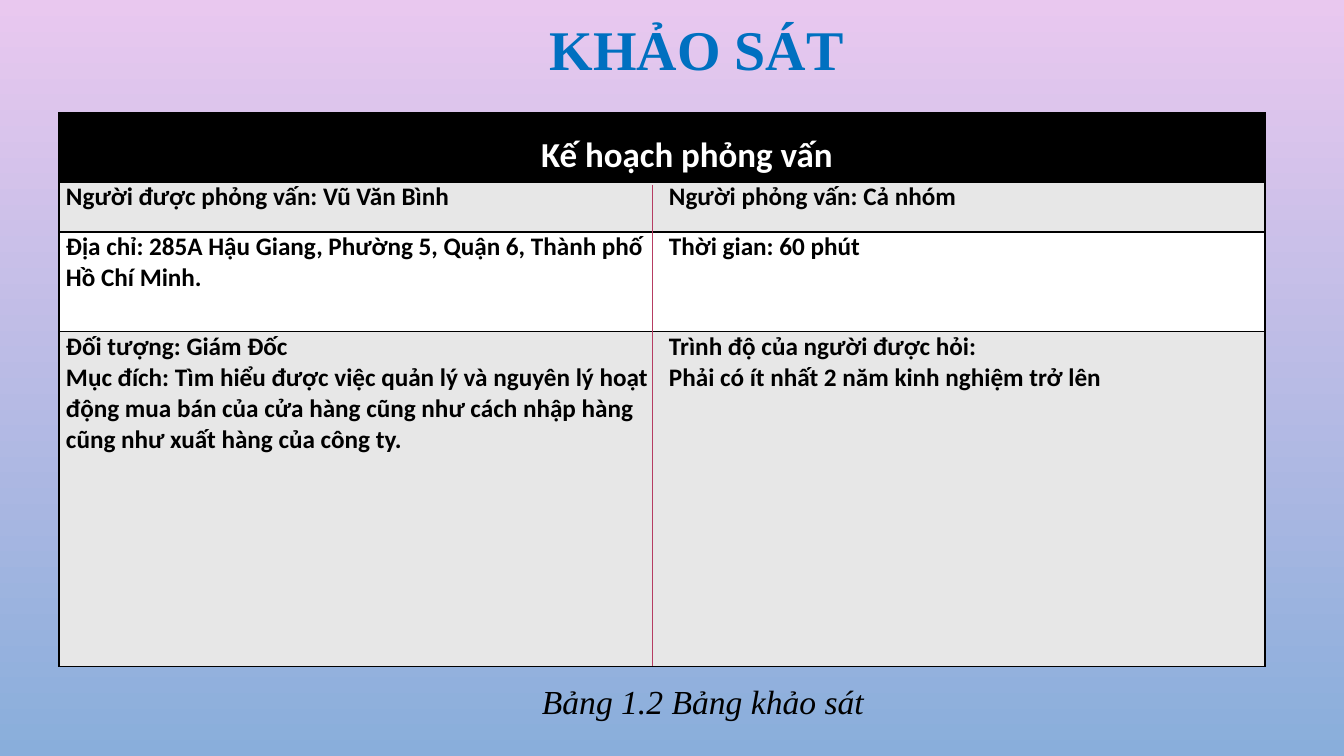
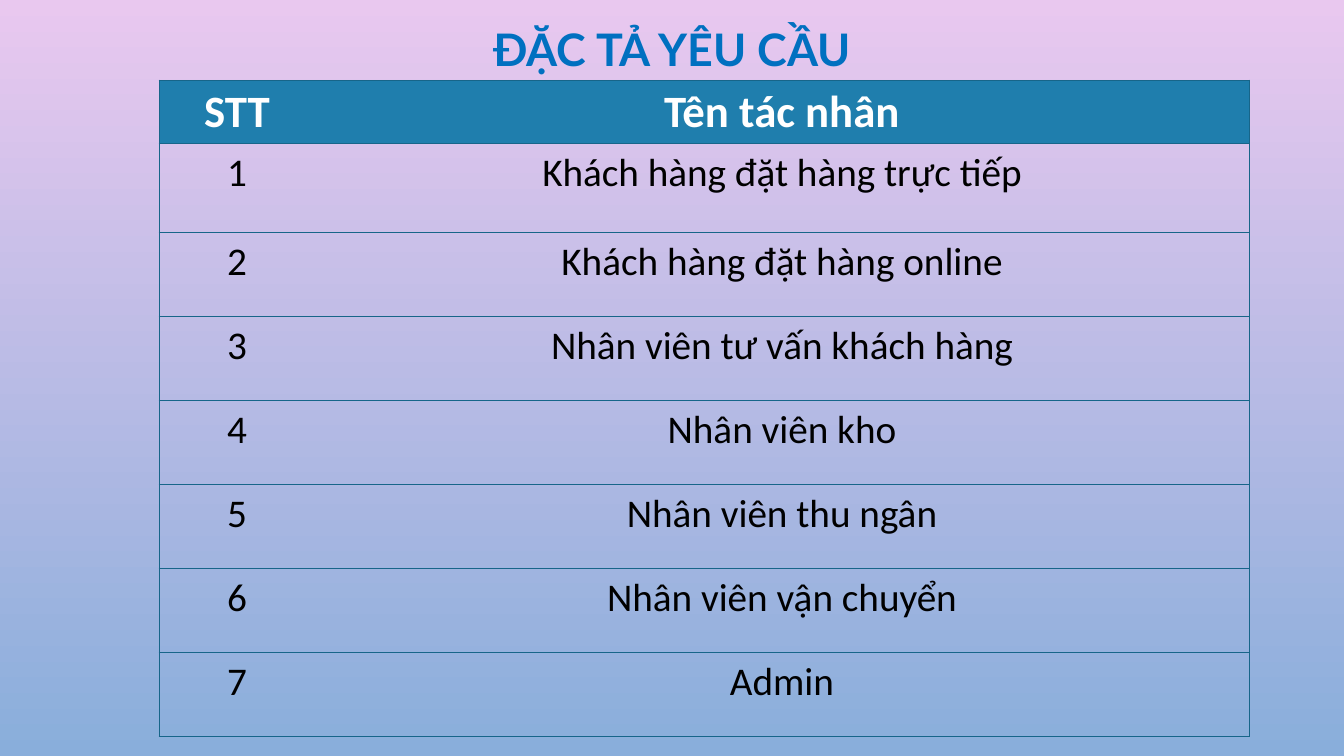
from lxml import etree
from pptx import Presentation
from pptx.dml.color import RGBColor
from pptx.enum.shapes import MSO_CONNECTOR
from pptx.enum.text import MSO_ANCHOR, MSO_AUTO_SIZE, PP_ALIGN
from pptx.oxml.ns import qn
from pptx.util import Emu, Pt

STRAIGHT = MSO_CONNECTOR.STRAIGHT
LEFT, CENTER = PP_ALIGN.LEFT, PP_ALIGN.CENTER
TOP, MIDDLE = MSO_ANCHOR.TOP, MSO_ANCHOR.MIDDLE
GROW = MSO_AUTO_SIZE.SHAPE_TO_FIT_TEXT
PLAIN_TABLE = "{2D5ABB26-0587-4C30-8999-92F81FD0307C}"
SIDES = {"left": "a:lnL", "right": "a:lnR", "top": "a:lnT", "bottom": "a:lnB"}
COLORS = {
    "sky_top": "E9C8EF",
    "sky_bottom": "89AEDB",
    "title": "0070C0",
    "black": "000000",
    "white": "FFFFFF",
    "gray": "E7E7E7",
    "teal": "1F7EAD",
    "teal_edge": "176589",
    "divider": "B63C62",
}


def px(length):
    return Emu(round(length * 914400 / 100.8))


def rgb(name):
    return RGBColor.from_string(COLORS[name])


def write(frame, text, font="Calibri", size=18, color="black", bold=False,
          italic=False, align=LEFT, spacing=None, indent=0):
    for index, line in enumerate(text.split("\n")):
        para = frame.paragraphs[0] if index == 0 else frame.add_paragraph()
        para.alignment = align
        if spacing:
            para.line_spacing = spacing
        if indent:
            para._p.get_or_add_pPr().set("indent", str(px(indent)))
        span = para.add_run()
        span.text = line
        span.font.name = font
        span.font.size = Pt(size)
        span.font.bold = bold
        span.font.italic = italic
        span.font.color.rgb = rgb(color)


class Slides:
    def __init__(self):
        self.deck = Presentation()
        self.deck.slide_width, self.deck.slide_height = px(1344), px(756)
        self.page = None

    def new_page(self):
        self.page = self.deck.slides.add_slide(self.deck.slide_layouts[6])
        fill = self.page.background.fill
        fill.gradient()
        fill.gradient_angle = 270
        for stop, name in zip(fill.gradient_stops, ("sky_top", "sky_bottom")):
            stop.color.rgb = rgb(name)

    def text(self, place, text, anchor=TOP, wrap=True, grow=False, **style):
        box = self.page.shapes.add_textbox(*map(px, place))
        frame = box.text_frame
        frame.word_wrap = wrap
        frame.vertical_anchor = anchor
        if grow:
            frame.auto_size = GROW
        write(frame, text, **style)

    def title(self, place, text, **style):
        self.text(place, text, color="title", bold=True, **style)

    def table(self, left, top, columns, rows):
        shape = self.page.shapes.add_table(
            len(rows), len(columns), px(left), px(top),
            px(sum(columns)), px(sum(rows)))
        grid = shape.table
        grid.first_row = grid.horz_banding = False
        grid._tbl.tblPr.find(qn("a:tableStyleId")).text = PLAIN_TABLE
        for column, width in zip(grid.columns, columns):
            column.width = px(width)
        for row, height in zip(grid.rows, rows):
            row.height = px(height)
        return grid

    def cell(self, cell, text, edges, edge_color, edge_width, fill=None,
             margins=None, **style):
        properties = cell._tc.get_or_add_tcPr()
        for side, tag in SIDES.items():
            if side in edges:
                line = etree.SubElement(properties, qn(tag), w=str(Pt(edge_width)))
                paint = etree.SubElement(line, qn("a:solidFill"))
                etree.SubElement(paint, qn("a:srgbClr"), val=COLORS[edge_color])
        if fill:
            cell.fill.solid()
            cell.fill.fore_color.rgb = rgb(fill)
        else:
            cell.fill.background()
        if margins:
            cell.margin_left = cell.margin_right = px(margins[0])
            cell.margin_top = cell.margin_bottom = px(margins[1])
        write(cell.text_frame, text, **style)

    def line(self, start, end, color, width):
        line = self.page.shapes.add_connector(STRAIGHT, *map(px, start + end))
        line.line.color.rgb = rgb(color)
        line.line.width = Pt(width)
        etree.SubElement(line._element.spPr, qn("a:effectLst"))


def outer_edges(column):
    return ("left" if column == 0 else "right", "top", "bottom")


def survey(slides):
    slides.new_page()
    slides.title((540, 10, 374, 78), "KHẢO SÁT", font="Times New Roman",
                 size=40, grow=True)
    grid = slides.table(59, 113, (603, 603), (69, 50, 100, 335))
    frame = {"edge_color": "black", "edge_width": 1, "margins": (7, 0), "bold": True}
    grid.cell(0, 0).merge(grid.cell(0, 1))
    slides.cell(grid.cell(0, 0), "Kế hoạch phỏng vấn", SIDES, fill="black",
                size=25, color="white", align=CENTER, spacing=1.5, indent=50,
                **frame)
    plan = (
        ("Người được phỏng vấn: Vũ Văn Bình", "Người phỏng vấn: Cả nhóm"),
        ("Địa chỉ: 285A Hậu Giang, Phường 5, Quận 6, Thành phố Hồ Chí Minh.",
         "Thời gian: 60 phút"),
        ("Đối tượng: Giám Đốc\nMục đích: Tìm hiểu được việc quản lý và nguyên lý "
         "hoạt động mua bán của cửa hàng cũng như cách nhập hàng cũng như xuất "
         "hàng của công ty.",
         "Trình độ của người được hỏi:\nPhải có ít nhất 2 năm kinh nghiệm trở lên"),
    )
    for row, texts in enumerate(plan, 1):
        for column, text in enumerate(texts):
            slides.cell(grid.cell(row, column), text, outer_edges(column),
                        fill="gray" if row % 2 else "white", **frame)
    slides.text((532, 676, 354, 50), "Bảng 1.2 Bảng khảo sát", wrap=False,
                grow=True, font="Times New Roman", size=24, italic=True)
    slides.line((653, 185), (653, 666), "divider", 0.75)


def actors(slides):
    slides.new_page()
    slides.title((0, 0, 1344, 103), "ĐẶC TẢ YÊU CẦU", font="Lato", size=32,
                 anchor=MIDDLE, align=CENTER, spacing=0.9)
    names = ("Khách hàng đặt hàng trực tiếp", "Khách hàng đặt hàng online",
             "Nhân viên tư vấn khách hàng", "Nhân viên kho",
             "Nhân viên thu ngân", "Nhân viên vận chuyển", "Admin")
    records = [("STT", "Tên tác nhân")]
    records += [(str(number), name) for number, name in enumerate(names, 1)]
    grid = slides.table(159, 80, (156, 934), (62, 89) + (84,) * 6)
    header = {"fill": "teal", "size": 32, "color": "white", "bold": True}
    body = {"size": 28}
    for row, record in enumerate(records):
        for column, text in enumerate(record):
            slides.cell(grid.cell(row, column), text, outer_edges(column),
                        "teal_edge", 0.75, align=CENTER,
                        **(body if row else header))


slides = Slides()
survey(slides)
actors(slides)
slides.deck.save("out.pptx")
